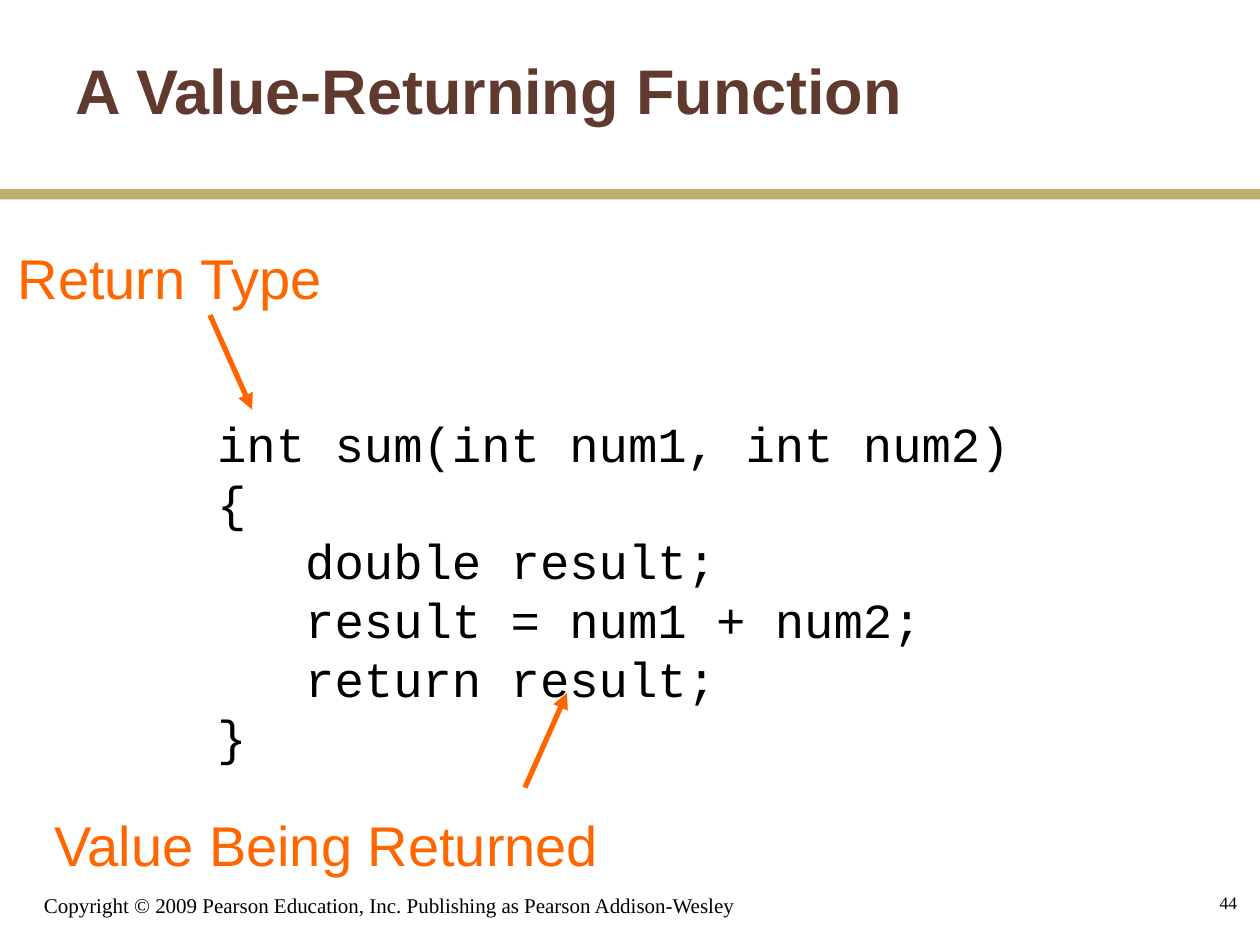
"""Build a slide that explains a value-returning function."""
from lxml import etree
from pptx import Presentation
from pptx.dml.color import RGBColor
from pptx.enum.shapes import MSO_CONNECTOR, MSO_SHAPE
from pptx.enum.text import MSO_ANCHOR, PP_ALIGN
from pptx.oxml.ns import qn
from pptx.util import Pt

LINE = MSO_CONNECTOR.STRAIGHT
RECT = MSO_SHAPE.RECTANGLE
TOP, MID, LOW = MSO_ANCHOR.TOP, MSO_ANCHOR.MIDDLE, MSO_ANCHOR.BOTTOM
LEFT, RIGHT = PP_ALIGN.LEFT, PP_ALIGN.RIGHT
BLACK = RGBColor(0x00, 0x00, 0x00)
BROWN = RGBColor(0x60, 0x3A, 0x2F)
GOLD = RGBColor(0xBF, 0xAF, 0x6F)
ORANGE = RGBColor(0xFF, 0x66, 0x00)

CODE = """int sum(int num1, int num2)
{
   double result;
   result = num1 + num2;
   return result;
}"""

TITLE = {"name": "Arial", "size": Pt(36), "bold": True}
LABEL = {"name": "Arial", "size": Pt(32)}
MONO = {"name": "Courier New", "size": Pt(28)}
FOOT = {"name": "Times New Roman", "size": Pt(12)}
PAGE = {"name": "Times New Roman", "size": Pt(10)}


def write(shape, text, look, color, anchor=TOP, align=LEFT, inset=3.6):
    frame = shape.text_frame
    frame.word_wrap = True
    frame.vertical_anchor = anchor
    frame.margin_top = Pt(inset)
    frame.text = text.replace("\n", "\v")
    para = frame.paragraphs[0]
    para.alignment = align
    for run in para.runs:
        for key, value in look.items():
            setattr(run.font, key, value)
        run.font.color.rgb = color
    return para


deck = Presentation()
deck.slide_width, deck.slide_height = Pt(720), Pt(540)
slide = deck.slides.add_slide(deck.slide_layouts[5])
shapes = slide.shapes

bar = shapes.add_shape(RECT, Pt(0), Pt(108), Pt(720), Pt(6))
bar.shadow.inherit = False
bar.fill.solid()
bar.fill.fore_color.rgb = GOLD
bar.line.fill.background()

title = shapes.title
title.left, title.top, title.width, title.height = Pt(36), Pt(6), Pt(600), Pt(90)
write(title, "A Value-Returning Function", TITLE, BROWN, MID)

code = shapes.add_textbox(Pt(117), Pt(228), Pt(489), Pt(209))
write(code, CODE, MONO, BLACK, inset=8.4).line_spacing = Pt(33.5)

for text, left, top, width in (
    ("Return Type", 3, 132, 245),
    ("Value Being Returned", 24, 456, 348),
):
    label = shapes.add_textbox(Pt(left), Pt(top), Pt(width), Pt(46))
    write(label, text, LABEL, ORANGE, inset=7.2)

for ends in ((120, 180, 144, 234), (300, 450, 324, 396)):
    arrow = shapes.add_connector(LINE, *map(Pt, ends))
    arrow.line.color.rgb = ORANGE
    arrow.line.width = Pt(3)
    etree.SubElement(arrow.line._get_or_add_ln(), qn("a:tailEnd"), type="triangle")
    etree.SubElement(arrow._element.spPr, qn("a:effectLst"))

foot = shapes.add_textbox(Pt(18), Pt(498), Pt(438), Pt(30))
write(
    foot,
    "Copyright © 2009 Pearson Education, Inc. Publishing as Pearson Addison-Wesley",
    FOOT, BLACK, LOW,
)
page = shapes.add_textbox(Pt(564), Pt(498), Pt(150), Pt(36))
write(page, "44", PAGE, BLACK, MID, RIGHT)

deck.save("out.pptx")
